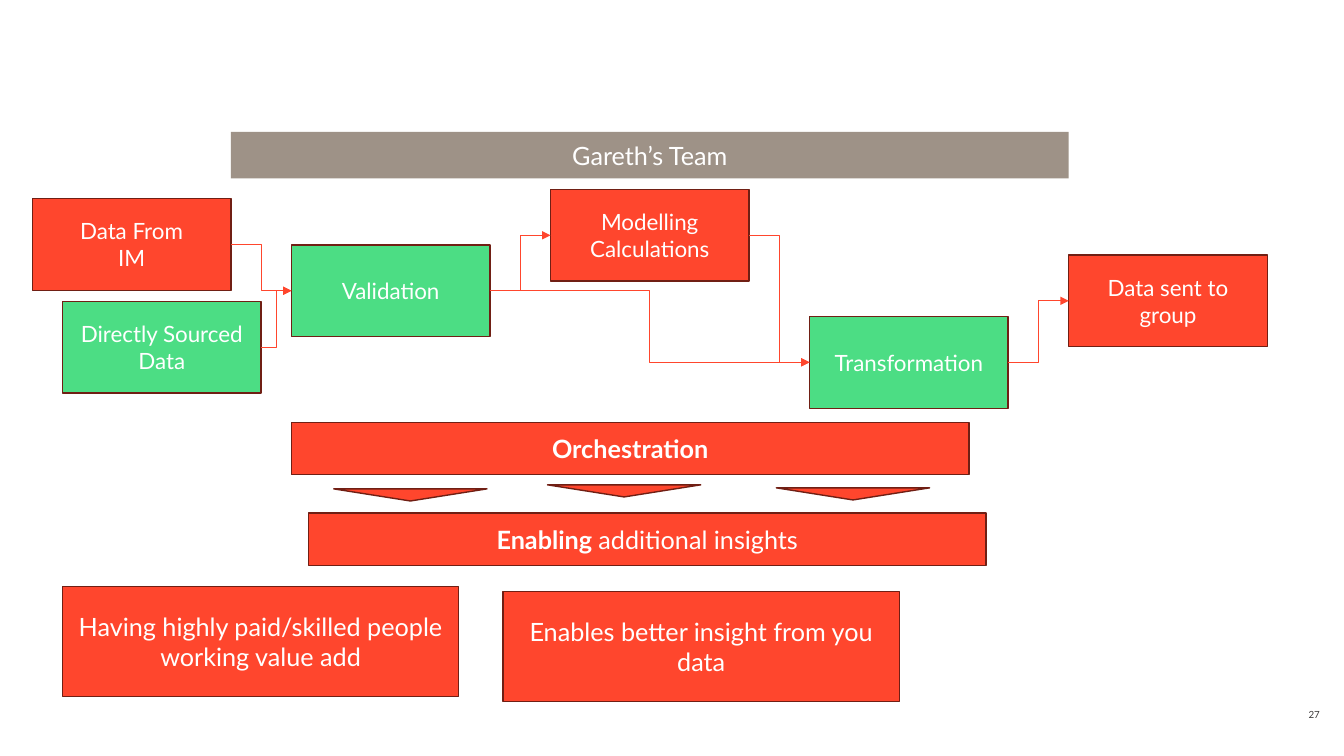
from pptx import Presentation
from pptx.dml.color import RGBColor
from pptx.enum.shapes import MSO_CONNECTOR, MSO_SHAPE
from pptx.enum.text import MSO_ANCHOR, PP_ALIGN
from pptx.oxml.ns import qn
from pptx.util import Pt
from lxml.etree import SubElement

PX = 9144
FONT = "Lato"
RED = RGBColor(0xFF, 0x46, 0x2D)
GREEN = RGBColor(0x4C, 0xDD, 0x84)
TAUPE = RGBColor(0x9E, 0x92, 0x87)
MAROON = RGBColor(0x70, 0x1F, 0x14)
WHITE = RGBColor(0xFF, 0xFF, 0xFF)
CHARCOAL = RGBColor(0x3D, 0x3B, 0x3B)
RIGHT_SIDE, LEFT_SIDE = 3, 1
STEP_WIDTH, STEP_HEIGHT = 197, 91


def emu(*lengths):
    return [length * PX for length in lengths]


def add_figure(slide, kind, box, fill, outline=MAROON):
    figure = slide.shapes.add_shape(kind, *emu(*box))
    figure.shadow.inherit = False
    figure.fill.solid()
    figure.fill.fore_color.rgb = fill
    if outline is None:
        figure.line.fill.background()
    else:
        figure.line.color.rgb = outline
        figure.line.width = Pt(1)
    return figure


def add_panel(slide, box, lines, size, fill=RED, outline=MAROON, bold=None):
    panel = add_figure(slide, MSO_SHAPE.RECTANGLE, box, fill, outline)
    frame = panel.text_frame
    frame.word_wrap = True
    frame.vertical_anchor = MSO_ANCHOR.MIDDLE
    frame.text = lines
    for paragraph in frame.paragraphs:
        paragraph.alignment = PP_ALIGN.CENTER
        paragraph.font.name = FONT
        paragraph.font.size = Pt(size)
        paragraph.font.color.rgb = WHITE
        paragraph.font.bold = bold
    return panel


def link(slide, source, target):
    arrow = slide.shapes.add_connector(MSO_CONNECTOR.ELBOW, 0, 0, 0, 0)
    arrow.begin_connect(source, RIGHT_SIDE)
    arrow.end_connect(target, LEFT_SIDE)
    arrow.line.color.rgb = RED
    arrow.line.width = Pt(0.5)
    SubElement(arrow.line._get_or_add_ln(), qn("a:tailEnd"), type="triangle")
    SubElement(arrow._element.spPr, qn("a:effectLst"))


def draw_process(slide, left, top):
    def step(x, y, lines, fill=RED):
        box = (left + x, top + y, STEP_WIDTH, STEP_HEIGHT)
        return add_panel(slide, box, lines, 16, fill)

    im_data = step(0, 9, "Data From\nIM")
    direct_data = step(30, 111, "Directly Sourced Data", GREEN)
    group_data = step(1028, 65, "Data sent to group")
    validation = step(257, 55, "Validation", GREEN)
    transformation = step(771, 126, "Transformation", GREEN)
    modelling = step(514, 0, "Modelling\nCalculations")
    for source, target in (
        (im_data, validation),
        (direct_data, validation),
        (validation, modelling),
        (validation, transformation),
        (modelling, transformation),
        (transformation, group_data),
    ):
        link(slide, source, target)


def draw_orchestration(slide, left, top):
    enabling = add_panel(slide, (left + 17, top + 90, 672, 52), "", 18)
    paragraph = enabling.text_frame.paragraphs[0]
    for words, bold in (("Enabling ", True), ("additional insights", False)):
        run = paragraph.add_run()
        run.text = words
        run.font.bold = bold
    for x, y in ((42, 66), (254, 62), (481, 65)):
        pointer = add_figure(slide, MSO_SHAPE.ISOSCELES_TRIANGLE,
                             (left + x, top + y, 152, 12), RED)
        pointer.rotation = 180
    add_panel(slide, (left, top, 672, 52), "Orchestration", 18, bold=True)


def draw_benefits(slide, left, top):
    for x, y, benefit in (
        (0, 0, "Having highly paid/skilled people working value add"),
        (437, 5, "Enables better insight from you data"),
    ):
        add_panel(slide, (left + x, top + y, 393, 109), benefit, 18)


def draw_page_number(slide, box):
    frame = slide.shapes.add_textbox(*emu(*box)).text_frame
    frame.margin_left = frame.margin_right = 0
    frame.margin_top = frame.margin_bottom = 0
    frame.word_wrap = True
    frame.vertical_anchor = MSO_ANCHOR.BOTTOM
    frame.text = "27"
    number = frame.paragraphs[0]
    number.alignment = PP_ALIGN.RIGHT
    number.font.name = FONT
    number.font.size = Pt(7)
    number.font.color.rgb = CHARCOAL


def main():
    deck = Presentation()
    deck.slide_width, deck.slide_height = emu(1333, 750)
    slide = deck.slides.add_slide(deck.slide_layouts[6])
    draw_page_number(slide, (1281, 691, 28, 24))
    add_panel(slide, (229, 131, 831, 46), "Gareth’s Team", 18, TAUPE, None)
    draw_process(slide, 32, 188)
    draw_orchestration(slide, 289, 419)
    draw_benefits(slide, 62, 582)
    deck.save("out.pptx")


if __name__ == "__main__":
    main()
